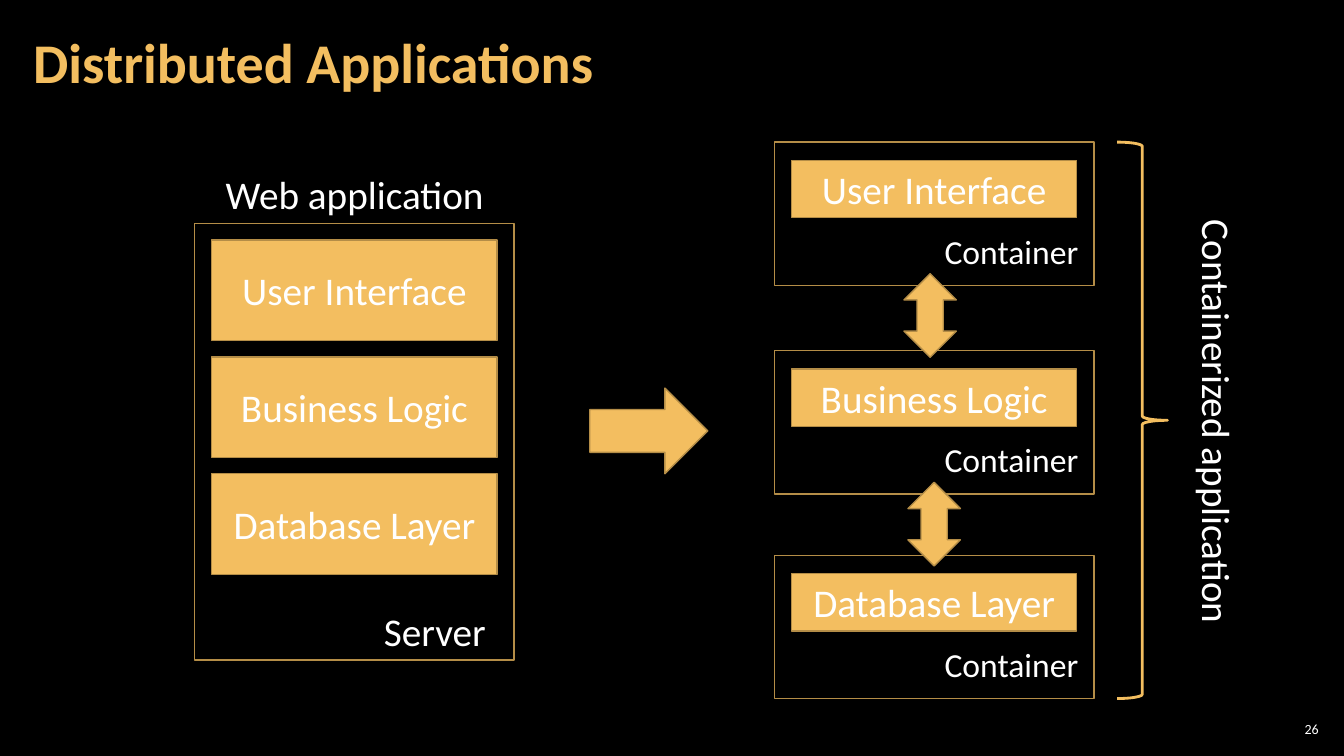
from pptx import Presentation
from pptx.dml.color import RGBColor
from pptx.enum import shapes, text
from pptx.util import Inches, Pt

# Content
TITLE = "Distributed Applications"
PAGE_NUMBER = "26"
LAYERS = ["User Interface", "Business Logic", "Database Layer"]
CONTAINER_TOPS = [1.41, 3.48, 5.51]
LINK_ARROWS = [(8.81, 2.87), (8.85, 4.94)]
LABELS = [  # wording, left, top, width, height, rotation
    ("Server", 3.71, 5.98, 1.22, 0.57, 0),
    ("Web application", 2.14, 1.64, 2.79, 0.57, 0),
    ("Containerized application", 9.95, 3.92, 4.25, 0.57, 90),
]

# Look
FONT = "Calibri"
BLACK = RGBColor(0x00, 0x00, 0x00)
WHITE = RGBColor(0xFF, 0xFF, 0xFF)
GOLD = RGBColor(0xF3, 0xBE, 0x60)
BRONZE = RGBColor(0xB4, 0x8D, 0x47)

# Layout in inches
SERVER_LEFT, SERVER_TOP, SERVER_HEIGHT = 1.93, 2.22, 4.33
CONTAINER_LEFT, CONTAINER_HEIGHT = 7.68, 1.42
FRAME_WIDTH, LAYER_WIDTH = 3.17, 2.83
LAYER_INSET = (FRAME_WIDTH - LAYER_WIDTH) / 2
SERVER_LAYER_HEIGHT, SERVER_LAYER_STEP = 1.0, 1.16
CONTAINER_LAYER_HEIGHT = 0.57

presentation = Presentation()
presentation.slide_width = Inches(13.33)
presentation.slide_height = Inches(7.5)
slide = presentation.slides.add_slide(presentation.slide_layouts[6])
slide.background.fill.solid()
slide.background.fill.fore_color.rgb = BLACK


def add_run(paragraph, wording, size, color=WHITE, bold=False):
    run = paragraph.add_run()
    run.text = wording
    run.font.name = FONT
    run.font.size = Pt(size)
    run.font.bold = bold
    run.font.color.rgb = color


def add_shape(kind, left, top, width, height, fill=GOLD, line=BRONZE, weight=1):
    shape = slide.shapes.add_shape(
        kind, Inches(left), Inches(top), Inches(width), Inches(height))
    shape.shadow.inherit = False
    if fill is None:
        shape.fill.background()
    else:
        shape.fill.solid()
        shape.fill.fore_color.rgb = fill
    shape.line.color.rgb = line
    shape.line.width = Pt(weight)
    return shape


def add_frame(left, top, height):
    add_shape(shapes.MSO_SHAPE.RECTANGLE, left, top, FRAME_WIDTH, height, fill=None)


def add_layer(wording, left, top, height):
    shape = add_shape(shapes.MSO_SHAPE.RECTANGLE, left, top, LAYER_WIDTH, height)
    shape.text_frame.vertical_anchor = text.MSO_ANCHOR.MIDDLE
    paragraph = shape.text_frame.paragraphs[0]
    paragraph.alignment = text.PP_ALIGN.CENTER
    add_run(paragraph, wording, 28)


def add_label(wording, left, top, width, height, size=28, rotation=0):
    box = slide.shapes.add_textbox(
        Inches(left), Inches(top), Inches(width), Inches(height))
    box.rotation = rotation
    box.text_frame.word_wrap = False
    box.text_frame.auto_size = text.MSO_AUTO_SIZE.SHAPE_TO_FIT_TEXT
    add_run(box.text_frame.paragraphs[0], wording, size)


def add_fixed_text(wording, left, top, width, height, size, color, bold,
                   alignment, side_margin):
    box = slide.shapes.add_textbox(
        Inches(left), Inches(top), Inches(width), Inches(height))
    frame = box.text_frame
    frame.word_wrap = True
    frame.vertical_anchor = text.MSO_ANCHOR.MIDDLE
    frame.margin_left = frame.margin_right = Inches(side_margin)
    frame.margin_top = frame.margin_bottom = Inches(0.04)
    paragraph = frame.paragraphs[0]
    paragraph.alignment = alignment
    paragraph.line_spacing = 0.9
    add_run(paragraph, wording, size, color, bold)


# Page number and title
add_fixed_text(PAGE_NUMBER, 12.65, 7.14, 0.47, 0.21, 10, WHITE, False,
               text.PP_ALIGN.RIGHT, 0.04)
add_fixed_text(TITLE, 0.21, 0.04, 10.47, 1.21, 40, GOLD, True,
               text.PP_ALIGN.LEFT, 0.12)

# Server holding all layers
add_frame(SERVER_LEFT, SERVER_TOP, SERVER_HEIGHT)
for index, layer in enumerate(LAYERS):
    add_layer(layer, SERVER_LEFT + LAYER_INSET,
              SERVER_TOP + 0.16 + index * SERVER_LAYER_STEP, SERVER_LAYER_HEIGHT)

# One container per layer
for layer, top in zip(LAYERS, CONTAINER_TOPS):
    add_frame(CONTAINER_LEFT, top, CONTAINER_HEIGHT)
    add_layer(layer, CONTAINER_LEFT + LAYER_INSET, top + 0.18, CONTAINER_LAYER_HEIGHT)
    add_label("Container", 9.27, top + 0.83, 1.54, 0.5, size=24)

# Arrows between containers
for left, top in LINK_ARROWS:
    arrow = add_shape(shapes.MSO_SHAPE.LEFT_RIGHT_ARROW, left, top, 0.83, 0.52)
    arrow.rotation = 270

# Brace, labels and the arrow from server to containers
add_shape(shapes.MSO_SHAPE.RIGHT_BRACE, 11.08, CONTAINER_TOPS[0], 0.5,
          CONTAINER_TOPS[-1] + CONTAINER_HEIGHT - CONTAINER_TOPS[0],
          fill=None, line=GOLD, weight=2)
for wording, left, top, width, height, rotation in LABELS:
    add_label(wording, left, top, width, height, rotation=rotation)
add_shape(shapes.MSO_SHAPE.RIGHT_ARROW, 5.85, 3.85, 1.17, 0.85)

presentation.save("out.pptx")
